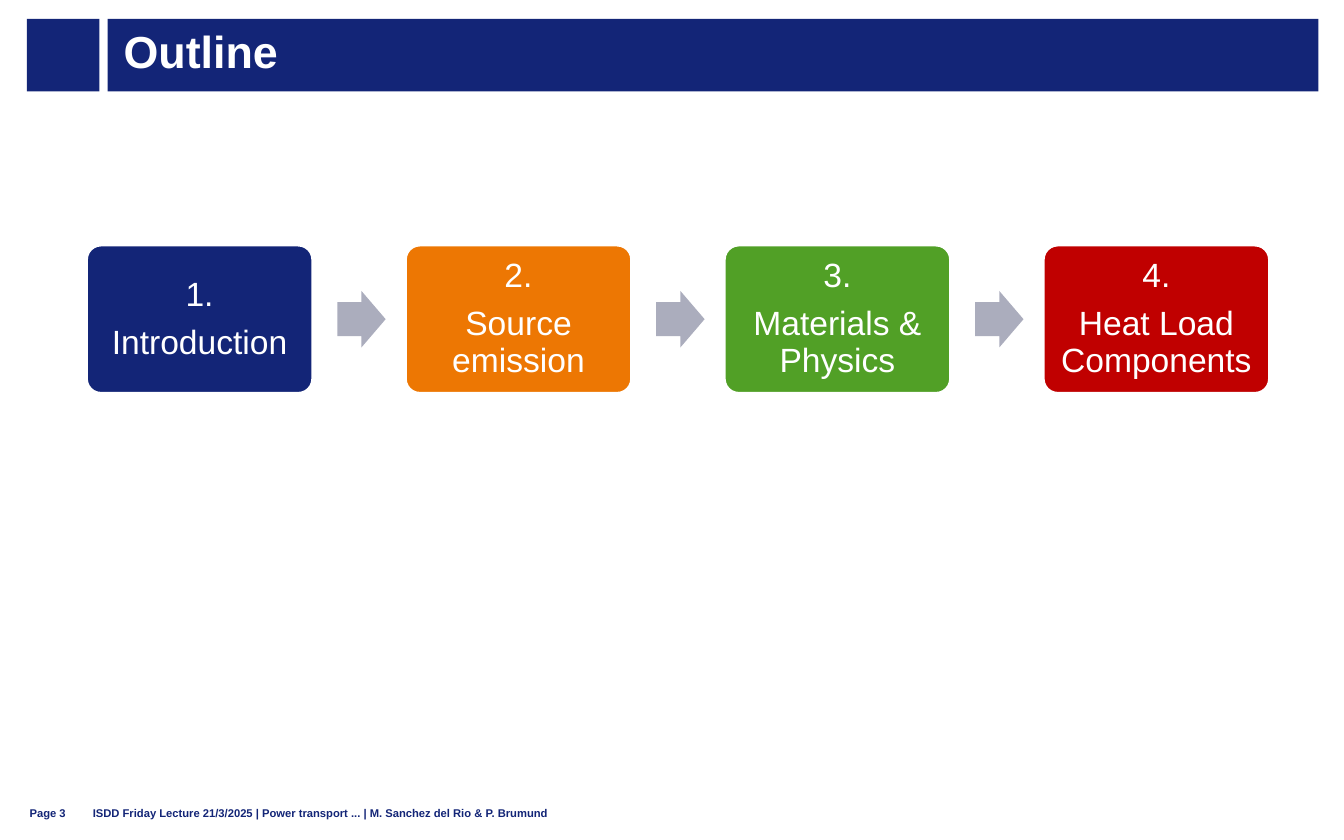
"""Build the lecture outline slide: a title bar, four linked steps and a footer."""
from pptx import Presentation
from pptx.dml.color import RGBColor
from pptx.enum import shapes, text
from pptx.util import Inches, Pt

NAVY, WHITE, GREY = "132577", "FFFFFF", "ABADBD"
TITLE = "Outline"
STEPS = [
    ("Introduction", NAVY),
    ("Source emission", "ED7703"),
    ("Materials & Physics", "51A026"),
    ("Heat Load Components", "C00000"),
]
FOOTER = [
    ("Page 3", 0.22, 0.45),
    ("ISDD Friday Lecture 21/3/2025 | Power transport ... | M. Sanchez del Rio & P. Brumund", 0.69, 6.69),
]
STEP_LEFT, STEP_TOP, STEP_WIDTH, STEP_HEIGHT, STEP_PITCH = 0.64, 1.82, 1.69, 1.11, 2.373
ARROW_OFFSET, ARROW_WIDTH, ARROW_HEIGHT = 1.87, 0.36, 0.42
TITLE_FORMAT = {"size": Pt(24), "bold": True}
STEP_FORMAT = {"size": Pt(18), "bold": False}
FOOTER_FORMAT = {"size": Pt(6), "bold": True}


def color(value):
    return RGBColor.from_string(value)


def add_block(page, kind, place, fill, line=None, adjustments=()):
    block = page.shapes.add_shape(kind, *map(Inches, place))
    block.shadow.inherit = False
    block.fill.solid()
    block.fill.fore_color.rgb = color(fill)
    if line:
        block.line.color.rgb = color(line)
        block.line.width = Pt(2)
    else:
        block.line.fill.background()
    for index, value in enumerate(adjustments):
        block.adjustments[index] = value
    return block


def write(box, lines, font_format, ink, anchor, margins=(0, 0), **para_format):
    frame = box.text_frame
    frame.word_wrap = True
    frame.vertical_anchor = anchor
    frame.margin_left = frame.margin_right = Inches(margins[0])
    frame.margin_top = frame.margin_bottom = Inches(margins[1])
    for index, line in enumerate(lines):
        para = frame.add_paragraph() if index else frame.paragraphs[0]
        for name, value in para_format.items():
            setattr(para, name, value)
        span = para.add_run()
        span.text = line
        span.font.name = "Arial"
        span.font.color.rgb = color(ink)
        for name, value in font_format.items():
            setattr(span.font, name, value)


def main():
    deck = Presentation()
    deck.slide_width, deck.slide_height = Inches(10), Inches(6.25)
    page = deck.slides.add_slide(deck.slide_layouts[6])
    kinds, anchors, aligns = shapes.MSO_SHAPE, text.MSO_ANCHOR, text.PP_ALIGN

    add_block(page, kinds.RECTANGLE, (0.2, 0.14, 0.54, 0.54), NAVY)
    bar = add_block(page, kinds.RECTANGLE, (0.8, 0.14, 9.01, 0.54), NAVY)
    write(bar, [TITLE], TITLE_FORMAT, WHITE, anchors.MIDDLE, (0.12, 0),
          alignment=aligns.LEFT, line_spacing=0.85)

    for label, left, width in FOOTER:
        box = page.shapes.add_textbox(*map(Inches, (left, 5.91, width, 0.19)))
        write(box, [label], FOOTER_FORMAT, NAVY, anchors.BOTTOM)

    arrow_top = STEP_TOP + (STEP_HEIGHT - ARROW_HEIGHT) / 2
    for index, (label, fill) in enumerate(STEPS):
        left = STEP_LEFT + index * STEP_PITCH
        step = add_block(page, kinds.ROUNDED_RECTANGLE,
                         (left, STEP_TOP, STEP_WIDTH, STEP_HEIGHT), fill, WHITE, [0.1])
        write(step, [f"{index + 1}.", label], STEP_FORMAT, WHITE, anchors.MIDDLE, (0.07, 0.07),
              alignment=aligns.CENTER, line_spacing=0.9, space_after=Pt(6.3))
        if index < len(STEPS) - 1:
            add_block(page, kinds.RIGHT_ARROW,
                      (left + ARROW_OFFSET, arrow_top, ARROW_WIDTH, ARROW_HEIGHT),
                      GREY, adjustments=[0.6, 0.5])

    deck.save("out.pptx")


if __name__ == "__main__":
    main()
